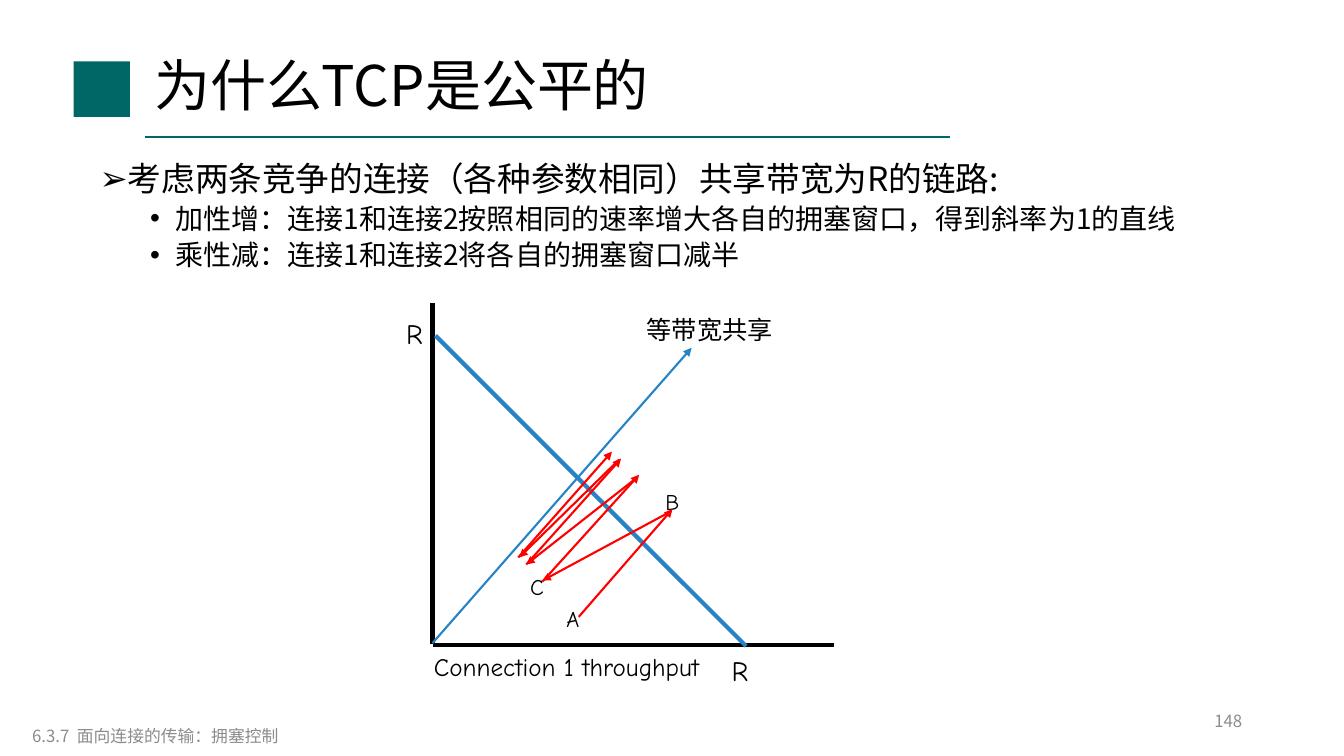
import pptx
import pptx.dml.color
import pptx.enum.shapes
import pptx.enum.text
import pptx.oxml.ns
import pptx.oxml.xmlchemy
import pptx.util
from pptx.util import Inches

COLORS = {"teal": "006666", "black": "000000", "gray": "8C8C8C",
          "blue": "2683C6", "red": "FF0000"}
SANS, COMIC = "Noto Sans CJK SC", "Comic Neue"
LEFT, CENTER, RIGHT = (pptx.enum.text.PP_ALIGN.LEFT, pptx.enum.text.PP_ALIGN.CENTER,
                       pptx.enum.text.PP_ALIGN.RIGHT)
TOP, MIDDLE = pptx.enum.text.MSO_ANCHOR.TOP, pptx.enum.text.MSO_ANCHOR.MIDDLE

TITLE = ("为什么TCP是公平的", (1.43, 0.4, 8.99, 0.96))
BODY_BOX = (0.89, 1.59, 11.5, 1.4)
BODY = [
    (0, "➢", 24, "考虑两条竞争的连接（各种参数相同）共享带宽为R的链路:"),
    (1, "•", 20, "加性增：连接1和连接2按照相同的速率增大各自的拥塞窗口，得到斜率为1的直线"),
    (1, "•", 20, "乘性减：连接1和连接2将各自的拥塞窗口减半"),
]
FOOTERS = [
    ("148", (9.42, 6.95, 3, 0.4), RIGHT),
    ("6.3.7  面向连接的传输：拥塞控制", (0.22, 7.1, 3.17, 0.4), LEFT),
]
CHART_LABELS = [
    ("R", (3.89, 3.09, 0.44, 0.43), 20),
    ("R", (7.12, 6.43, 0.44, 0.43), 20),
    ("等带宽共享", (5.52, 3.07, 3.04, 0.4), 18),
    ("Connection 1 throughput", (3.68, 6.41, 3.88, 0.4), 18),
    ("A", (5.52, 5.95, 0.21, 0.37), 16),
    ("B", (6.5, 4.79, 0.28, 0.37), 16),
    ("C", (5.16, 5.64, 0.2, 0.37), 16),
]
LINES = [
    ((1.44, 1.36), (9.42, 1.36), "teal", 1.5, False),
    ((4.29, 6.4), (8.27, 6.4), "black", 3, False),
    ((4.29, 6.39), (4.29, 3.01), "black", 3, False),
    ((4.29, 6.38), (6.86, 3.45), "blue", 1.5, True),
    ((4.32, 3.33), (7.4, 6.41), "blue", 3, False),
]
WINDOW_STEPS = [
    ((5.74, 6.12), (6.67, 5.05)),
    ((6.66, 5.07), (5.38, 5.76)),
    ((5.38, 5.77), (6.34, 4.71)),
    ((6.29, 4.76), (5.22, 5.6)),
    ((5.22, 5.6), (6.16, 4.55)),
    ((6.14, 4.56), (5.15, 5.53)),
    ((5.14, 5.53), (6.07, 4.48)),
]


def rgb(name):
    return pptx.dml.color.RGBColor.from_string(COLORS[name])


def add_element(parent, tag, **attributes):
    element = pptx.oxml.xmlchemy.OxmlElement(tag)
    for key, value in attributes.items():
        element.set(key, value)
    parent.append(element)


def add_frame(slide, box, anchor):
    frame = slide.shapes.add_textbox(*map(Inches, box)).text_frame
    frame.word_wrap = True
    frame.vertical_anchor = anchor
    return frame


def style(paragraph, size, font, color):
    paragraph.font.size = pptx.util.Pt(size)
    paragraph.font.name = font
    paragraph.font.color.rgb = rgb(color)
    defaults = paragraph._p.pPr.find(pptx.oxml.ns.qn("a:defRPr"))
    add_element(defaults, "a:ea", typeface=SANS)


def add_text(slide, text, box, size, font, color="black", align=LEFT, anchor=TOP):
    paragraph = add_frame(slide, box, anchor).paragraphs[0]
    paragraph.text = text
    paragraph.alignment = align
    style(paragraph, size, font, color)
    return paragraph


def add_body(slide):
    frame = add_frame(slide, BODY_BOX, TOP)
    for index, (level, bullet, size, text) in enumerate(BODY):
        paragraph = frame.add_paragraph() if index else frame.paragraphs[0]
        paragraph.text = text
        paragraph.level = level
        paragraph.line_spacing = 0.83
        if index:
            paragraph.space_before = pptx.util.Pt(6)
        properties = paragraph._p.get_or_add_pPr()
        properties.set("marL", str(Inches(0.25 + 0.5 * level)))
        properties.set("indent", str(Inches(-0.25)))
        add_element(properties, "a:buFont", typeface="Arial")
        add_element(properties, "a:buChar", char=bullet)
        style(paragraph, size, SANS, "black")


def add_line(slide, start, end, color, width, arrow):
    line = slide.shapes.add_connector(pptx.enum.shapes.MSO_CONNECTOR.STRAIGHT,
                                      *map(Inches, start + end))
    line.line.color.rgb = rgb(color)
    line.line.width = pptx.util.Pt(width)
    properties = line._element.spPr
    if arrow:
        add_element(properties.find(pptx.oxml.ns.qn("a:ln")), "a:tailEnd", type="triangle")
    add_element(properties, "a:effectLst")


def main():
    presentation = pptx.Presentation()
    presentation.slide_width, presentation.slide_height = Inches(13.33), Inches(7.5)
    slide = presentation.slides.add_slide(presentation.slide_layouts[6])

    emblem = slide.shapes.add_shape(pptx.enum.shapes.MSO_SHAPE.RECTANGLE,
                                    *map(Inches, (0.73, 0.61, 0.56, 0.55)))
    emblem.shadow.inherit = False
    emblem.fill.solid()
    emblem.fill.fore_color.rgb = rgb("teal")
    emblem.line.fill.background()

    title = add_text(slide, *TITLE, 40, SANS, anchor=MIDDLE)
    title.line_spacing = 0.9
    add_body(slide)
    for text, box, align in FOOTERS:
        add_text(slide, text, box, 12, SANS, "gray", align, MIDDLE)
    for line in LINES:
        add_line(slide, *line)
    for text, box, size in CHART_LABELS:
        add_text(slide, text, box, size, COMIC, align=CENTER)
    for start, end in WINDOW_STEPS:
        add_line(slide, start, end, "red", 1.5, True)

    presentation.save("out.pptx")


if __name__ == "__main__":
    main()
